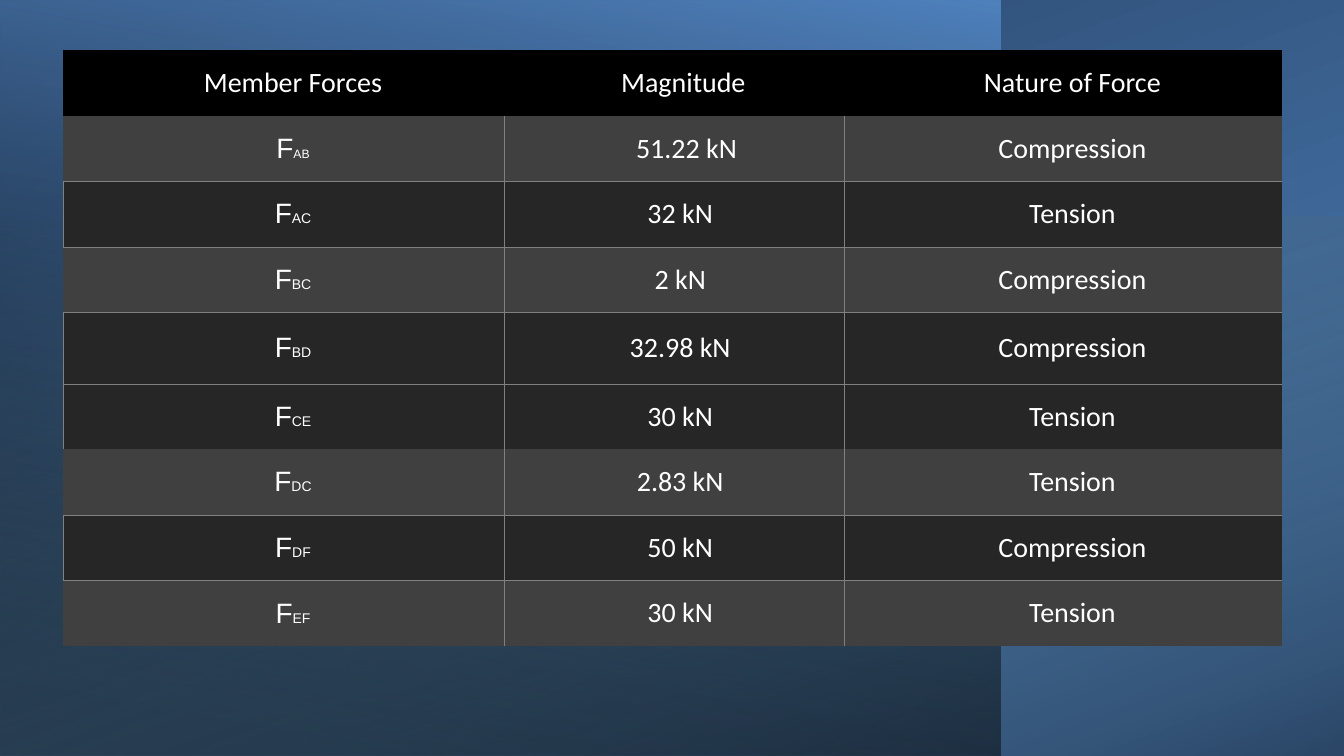
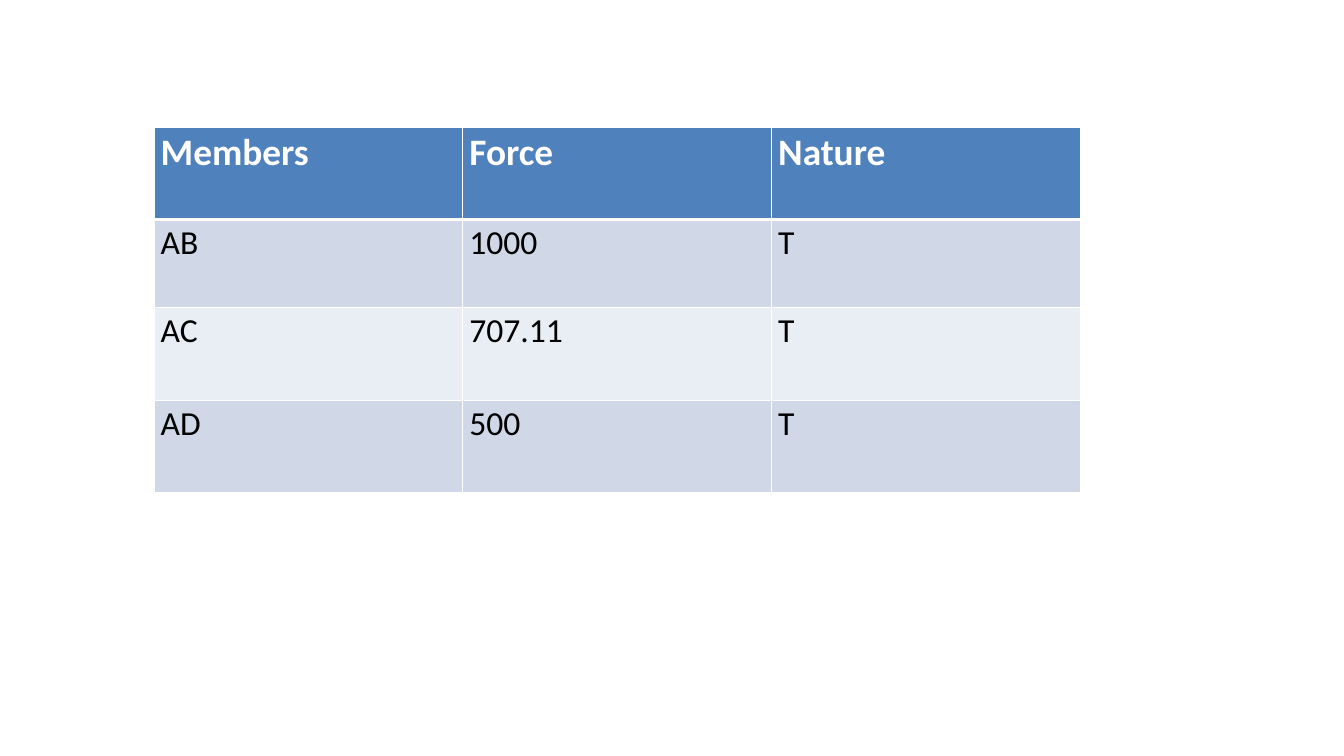
import dataclasses

import lxml.etree
import pptx
import pptx.dml.color
import pptx.enum.shapes
import pptx.enum.text
import pptx.oxml.ns
import pptx.util

Cm = pptx.util.Cm
Pt = pptx.util.Pt


# Colours and type sizes
@dataclasses.dataclass(frozen=True)
class Theme:
    font: str = "Calibri"
    symbol_font: str = "Arial"
    white: str = "FFFFFF"
    black: str = "000000"
    blue: str = "4F81BD"
    navy: str = "254061"
    aqua: str = "93CDDD"
    light_row: str = "404040"
    dark_row: str = "262626"
    grid: str = "808080"
    band: str = "D0D8E8"
    pale_band: str = "E9EDF4"
    truss_size: float = 30
    subscript_size: float = 15
    small_subscript_size: float = 13
    heading_size: float = 40
    body_size: float = 36


THEME = Theme()
SLIDE_WIDTH, SLIDE_HEIGHT = 50.8, 28.58
NO_STYLE = "{2D5ABB26-0587-4C30-8999-92F81FD0307C}"

MEMBER_HEADINGS = ["Member Forces", "Magnitude", "Nature of Force"]
# Subscript, magnitude, nature, whether the row is light
MEMBER_ROWS = [
    ("AB", " 51.22 kN", "Compression", True),
    ("AC", "32 kN ", "Tension", False),
    ("BC", "2 kN ", "Compression", True),
    ("BD", "32.98 kN ", "Compression", False),
    ("CE", "30 kN ", "Tension", False),
    ("DC", "2.83 kN ", "Tension", True),
    ("DF", "50 kN ", "Compression", False),
    ("EF", "30 kN ", "Tension", True),
]
RESULT_ROWS = [
    ("Members", "Force", "Nature"),
    ("AB", "1000", "T"),
    ("AC", "707.11", "T"),
    ("AD", "500", "T"),
]


def colour(value):
    return pptx.dml.color.RGBColor.from_string(value)


def add_element(parent, tag, **attributes):
    return lxml.etree.SubElement(parent, pptx.oxml.ns.qn(tag), **attributes)


# Background panels, placed by the area they cover once turned
def add_gradient_panel(slide, left, top, width, height, rotation, angle, stops):
    if rotation == 270:
        shift = (width - height) / 2
        left, top, width, height = left + shift, top - shift, height, width
    shape = slide.shapes.add_shape(
        pptx.enum.shapes.MSO_SHAPE.RECTANGLE, Cm(left), Cm(top), Cm(width), Cm(height))
    shape.shadow.inherit = False
    shape.line.fill.background()
    shape.rotation = rotation
    shape._element.spPr.xfrm.set("flipH", "1")
    shape.fill.gradient()
    shape.fill.gradient_angle = 360 - angle
    for gradient_stop, (position, value, opacity) in zip(shape.fill.gradient_stops, stops):
        gradient_stop.position = position
        gradient_stop.color.rgb = colour(value)
    colour_elements = shape._element.spPr.iter(pptx.oxml.ns.qn("a:srgbClr"))
    for element, (position, value, opacity) in zip(colour_elements, stops):
        if opacity < 100:
            add_element(element, "a:alpha", val=str(opacity * 1000))


# Tables
def add_plain_table(slide, left, top, column_widths, row_heights):
    frame = slide.shapes.add_table(
        len(row_heights), len(column_widths), Cm(left), Cm(top),
        Cm(sum(column_widths)), Cm(sum(row_heights)))
    table = frame.table
    table.first_row = table.horz_banding = False
    table._tbl.tblPr.find(pptx.oxml.ns.qn("a:tableStyleId")).text = NO_STYLE
    for column, width in zip(table.columns, column_widths):
        column.width = Cm(width)
    for row, height in zip(table.rows, row_heights):
        row.height = Cm(height)
    return table


def paint_cell(cell, fill, borders):
    """Borders map a side (L, R, T, B) to a colour and a width in points."""
    properties = cell._tc.get_or_add_tcPr()
    for side in "LRTB":
        if side in borders:
            value, width = borders[side]
            line = add_element(properties, "a:ln" + side, w=str(Pt(width)))
            solid = add_element(line, "a:solidFill")
            add_element(solid, "a:srgbClr", val=value)
    cell.fill.solid()
    cell.fill.fore_color.rgb = colour(fill)


def format_run(run, size, value, bold=False, font=THEME.font):
    run.font.size = Pt(size)
    run.font.name = font
    run.font.bold = bold
    run.font.color.rgb = colour(value)


def write_cell(cell, text, size, value, bold=False):
    cell.text_frame.text = text
    format_run(cell.text_frame.paragraphs[0].runs[0], size, value, bold)


def write_force_symbol(cell, subscript):
    small = subscript == "AB"
    subscript_size = THEME.small_subscript_size if small else THEME.subscript_size
    paragraph = cell.text_frame.paragraphs[0]
    for text, size in (("F", THEME.truss_size), (subscript, subscript_size)):
        run = paragraph.add_run()
        run.text = text
        format_run(run, size, THEME.white, font=THEME.symbol_font)


def centre_cell(cell):
    cell.margin_left, cell.margin_right = Cm(0.71), 0
    cell.margin_top = cell.margin_bottom = Cm(0.56)
    cell.vertical_anchor = pptx.enum.text.MSO_ANCHOR.MIDDLE
    cell.text_frame.paragraphs[0].alignment = pptx.enum.text.PP_ALIGN.CENTER


def member_borders(subscript, light, column):
    if light:
        sides = ["R", "LR", "L"][column] + ("" if subscript == "EF" else "B")
    else:
        sides = ["LR", "LR", "L"][column] + ("" if subscript == "CE" else "T")
    return {side: (THEME.grid, 0.5) for side in sides}


# Slides
def build_member_forces(presentation):
    slide = presentation.slides.add_slide(presentation.slide_layouts[6])
    add_gradient_panel(slide, 0, 0, SLIDE_WIDTH, SLIDE_HEIGHT, 270, 200,
                       [(0.08, THEME.blue, 100), (1, THEME.navy, 100)])
    add_gradient_panel(slide, 0, 0, 37.8, SLIDE_HEIGHT, 180, 80,
                       [(0.08, THEME.black, 52), (1, THEME.blue, 100)])
    add_gradient_panel(slide, 0, 8.18, SLIDE_WIDTH, 20.4, 270, 20,
                       [(0, THEME.aqua, 0), (1, THEME.black, 46)])

    row_heights = [2.48] + [2.69 if row[0] == "BD" else 2.48 for row in MEMBER_ROWS]
    table = add_plain_table(slide, 2.39, 1.9, [16.66, 12.85, 16.56], row_heights)
    for column, heading in enumerate(MEMBER_HEADINGS):
        cell = table.cell(0, column)
        sides = "LT" if column == 0 else "T"
        paint_cell(cell, THEME.black, {side: (THEME.black, 1.5) for side in sides})
        write_cell(cell, heading, THEME.truss_size, THEME.white)
        centre_cell(cell)
    for row, (subscript, magnitude, nature, light) in enumerate(MEMBER_ROWS, start=1):
        fill = THEME.light_row if light else THEME.dark_row
        for column, text in enumerate((subscript, magnitude, nature)):
            cell = table.cell(row, column)
            paint_cell(cell, fill, member_borders(subscript, light, column))
            if column == 0:
                write_force_symbol(cell, text)
            else:
                write_cell(cell, text, THEME.truss_size, THEME.white)
            centre_cell(cell)


def build_results(presentation):
    slide = presentation.slides.add_slide(presentation.slide_layouts[6])
    table = add_plain_table(slide, 5.82, 4.8, [11.67] * 3, [3.5, 3.32, 3.5, 3.5])
    thin, thick = (THEME.white, 1), (THEME.white, 3)
    for row, texts in enumerate(RESULT_ROWS):
        for column, text in enumerate(texts):
            cell = table.cell(row, column)
            if row == 0:
                paint_cell(cell, THEME.blue, {"L": thin, "R": thin, "T": thin, "B": thick})
                write_cell(cell, text, THEME.heading_size, THEME.white, bold=True)
            else:
                fill = THEME.band if row % 2 else THEME.pale_band
                paint_cell(cell, fill, {"L": thin, "R": thin, "B": thin})
                write_cell(cell, text, THEME.body_size, THEME.black)


def main():
    presentation = pptx.Presentation()
    presentation.slide_width = Cm(SLIDE_WIDTH)
    presentation.slide_height = Cm(SLIDE_HEIGHT)
    build_member_forces(presentation)
    build_results(presentation)
    presentation.save("out.pptx")


if __name__ == "__main__":
    main()
